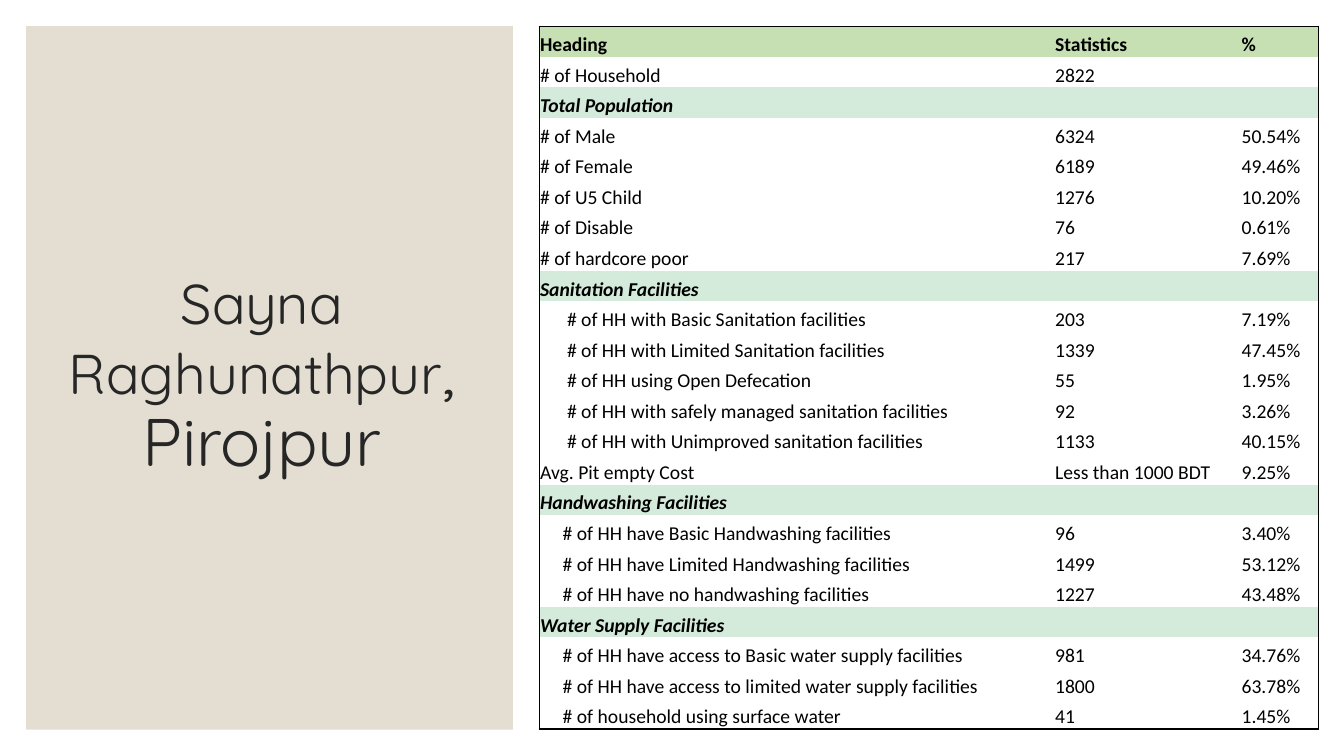
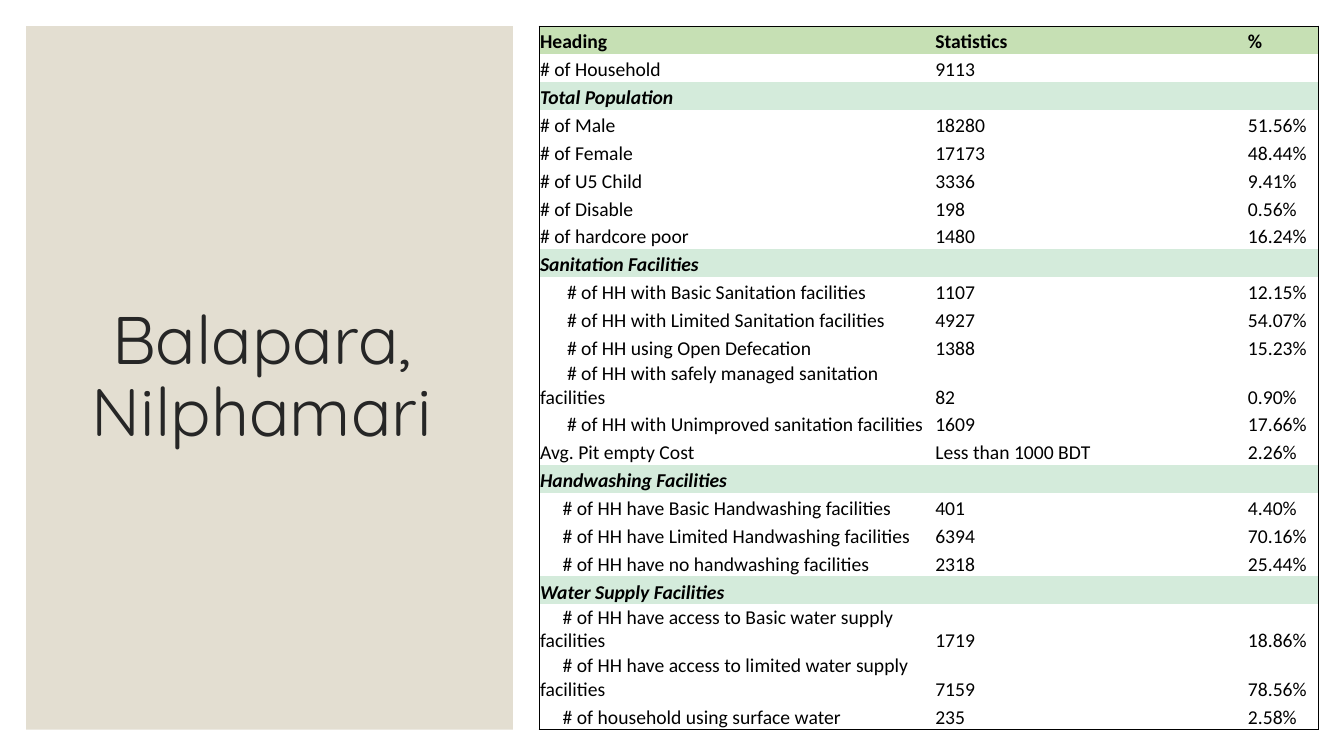
"""Build two slides of sanitation and water statistics, one per union."""
from lxml import etree
from pptx import Presentation
from pptx.dml.color import RGBColor
from pptx.enum.shapes import MSO_SHAPE
from pptx.enum.text import MSO_ANCHOR, MSO_AUTO_SIZE, PP_ALIGN
from pptx.oxml.ns import qn
from pptx.util import Cm, Pt

WHITE = RGBColor(0xFF, 0xFF, 0xFF)
BLACK = RGBColor(0x00, 0x00, 0x00)
INK = RGBColor(0x26, 0x26, 0x26)
SAND = RGBColor(0xE3, 0xDE, 0xD1)
GREEN = RGBColor(0xC6, 0xE0, 0xB4)
MINT = RGBColor(0xD4, 0xEB, 0xDB)

TOP, HEIGHT = 0.66, 17.73
PANEL_LEFT, PANEL_WIDTH = 0.66, 12.27
TABLE_LEFT = 13.59
TALL_ROW = 1.23

CELL_FORMAT = {
    "margin_left": Cm(0.02),
    "margin_right": Cm(0.02),
    "margin_top": Cm(0.02),
    "margin_bottom": 0,
    "vertical_anchor": MSO_ANCHOR.BOTTOM,
}
TITLE_FORMAT = {
    "auto_size": MSO_AUTO_SIZE.NONE,
    "word_wrap": True,
    "vertical_anchor": MSO_ANCHOR.MIDDLE,
}

GROUPS = [
    ("Total Population", 0, [
        "# of Male",
        "# of Female",
        "# of U5 Child",
        "# of Disable",
        "# of hardcore poor",
    ]),
    ("Sanitation Facilities", 0.68, [
        "# of HH with Basic Sanitation facilities",
        "# of HH with Limited Sanitation facilities",
        "# of HH using Open Defecation",
        "# of HH with safely managed sanitation facilities",
        "# of HH with Unimproved sanitation facilities",
        "Avg. Pit empty Cost",
    ]),
    ("Handwashing Facilities", 0.57, [
        "# of HH have Basic Handwashing facilities",
        "# of HH have Limited Handwashing facilities",
        "# of HH have no handwashing facilities",
    ]),
    ("Water Supply Facilities", 0.57, [
        "# of HH have access to Basic water supply facilities",
        "# of HH have access to limited water supply facilities",
        "# of household using surface water",
    ]),
]

UNIONS = [
    {
        "title": [("Sayna Raghunathpur", 40), (", Pirojpur", 48)],
        "widths": [12.98, 4.7, 1.96],
        "tall": [],
        "households": "2822",
        "stats": [
            ("6324", "50.54%"), ("6189", "49.46%"), ("1276", "10.20%"),
            ("76", "0.61%"), ("217", "7.69%"),
            ("203", "7.19%"), ("1339", "47.45%"), ("55", "1.95%"),
            ("92", "3.26%"), ("1133", "40.15%"), ("Less than 1000 BDT", "9.25%"),
            ("96", "3.40%"), ("1499", "53.12%"), ("1227", "43.48%"),
            ("981", "34.76%"), ("1800", "63.78%"), ("41", "1.45%"),
        ],
    },
    {
        "title": [("Balapara, Nilphamari", 48)],
        "widths": [9.96, 7.88, 1.8],
        "tall": [12, 20, 21],
        "households": "9113",
        "stats": [
            ("18280", "51.56%"), ("17173", "48.44%"), ("3336", "9.41%"),
            ("198", "0.56%"), ("1480", "16.24%"),
            ("1107", "12.15%"), ("4927", "54.07%"), ("1388", "15.23%"),
            ("82", "0.90%"), ("1609", "17.66%"), ("Less than 1000 BDT", "2.26%"),
            ("401", "4.40%"), ("6394", "70.16%"), ("2318", "25.44%"),
            ("1719", "18.86%"), ("7159", "78.56%"), ("235", "2.58%"),
        ],
    },
]


def set_borders(cell, edges):
    """Draw a black line on the named edges and none on the others."""
    tcPr = cell._tc.get_or_add_tcPr()
    for i, edge in enumerate("LRTB"):
        ln = etree.Element(qn(f"a:ln{edge}"), w=str(Pt(1)))
        if edge in edges:
            fill = etree.SubElement(ln, qn("a:solidFill"))
            etree.SubElement(fill, qn("a:srgbClr"), val=str(BLACK))
        else:
            etree.SubElement(ln, qn("a:noFill"))
        tcPr.insert(i, ln)


def write_cell(cell, text, indent, bold, italic):
    """Write one line of table text with a first-line indent."""
    p = cell.text_frame.paragraphs[0]
    if not text:
        etree.SubElement(p._p, qn("a:endParaRPr"), sz="1400")
        return
    if indent:
        p._p.get_or_add_pPr().set("indent", str(Cm(indent)))
    r = p.add_run()
    r.text = text
    font = {"name": "Calibri", "size": Pt(14), "bold": bold, "italic": italic}
    for key, value in font.items():
        setattr(r.font, key, value)
    r.font.color.rgb = BLACK


prs = Presentation()
prs.slide_width, prs.slide_height = Cm(33.87), Cm(19.05)

for union in UNIONS:
    s = prs.slides.add_slide(prs.slide_layouts[5])

    panel = s.shapes.add_shape(MSO_SHAPE.RECTANGLE, Cm(PANEL_LEFT), Cm(TOP),
                               Cm(PANEL_WIDTH), Cm(HEIGHT))
    panel.shadow.inherit = False
    panel.fill.solid()
    panel.fill.fore_color.rgb = SAND
    panel.line.fill.background()
    s.shapes._spTree.insert(2, panel._element)

    title = s.shapes.title
    title.left, title.top = Cm(1.14), Cm(1.55)
    title.width, title.height = Cm(10.92), Cm(15.98)
    tf = title.text_frame
    for key, value in TITLE_FORMAT.items():
        setattr(tf, key, value)
    p = tf.paragraphs[0]
    p.alignment = PP_ALIGN.CENTER
    p.line_spacing = 0.9
    for text, size in union["title"]:
        r = p.add_run()
        r.text = text
        r.font.name = "Quicksand"
        r.font.size = Pt(size)
        r.font.color.rgb = INK

    rows = [(("Heading", "Statistics", "%"), 0, GREEN),
            (("# of Household", union["households"], ""), 0, WHITE)]
    stats = iter(union["stats"])
    for heading, indent, labels in GROUPS:
        rows.append(((heading, "", ""), 0, MINT))
        for label in labels:
            shift = indent if label.startswith("#") else 0
            rows.append(((label, *next(stats)), shift, WHITE))

    tall = union["tall"]
    row_height = (HEIGHT - TALL_ROW * len(tall)) / (len(rows) - len(tall))
    table = s.shapes.add_table(len(rows), 3, Cm(TABLE_LEFT), Cm(TOP),
                               Cm(sum(union["widths"])), Cm(HEIGHT)).table
    table.first_row = table.horz_banding = False
    for column, width in zip(table.columns, union["widths"]):
        column.width = Cm(width)

    last = len(rows) - 1
    for i, (texts, indent, color) in enumerate(rows):
        table.rows[i].height = Cm(TALL_ROW if i in tall else row_height)
        section = color == MINT
        for j, text in enumerate(texts):
            cell = table.cell(i, j)
            for key, value in CELL_FORMAT.items():
                setattr(cell, key, value)
            write_cell(cell, text, 0 if j else indent, color != WHITE, section)
            cell.fill.solid()
            cell.fill.fore_color.rgb = color
            edges = "L" if j == 0 else ""
            edges += "R" if j == 2 or section and j == 0 else ""
            edges += "T" if i == 0 else ""
            edges += "B" if i == last else ""
            set_borders(cell, edges)
        if section:
            table.cell(i, 0).merge(table.cell(i, 2))

prs.save("out.pptx")
